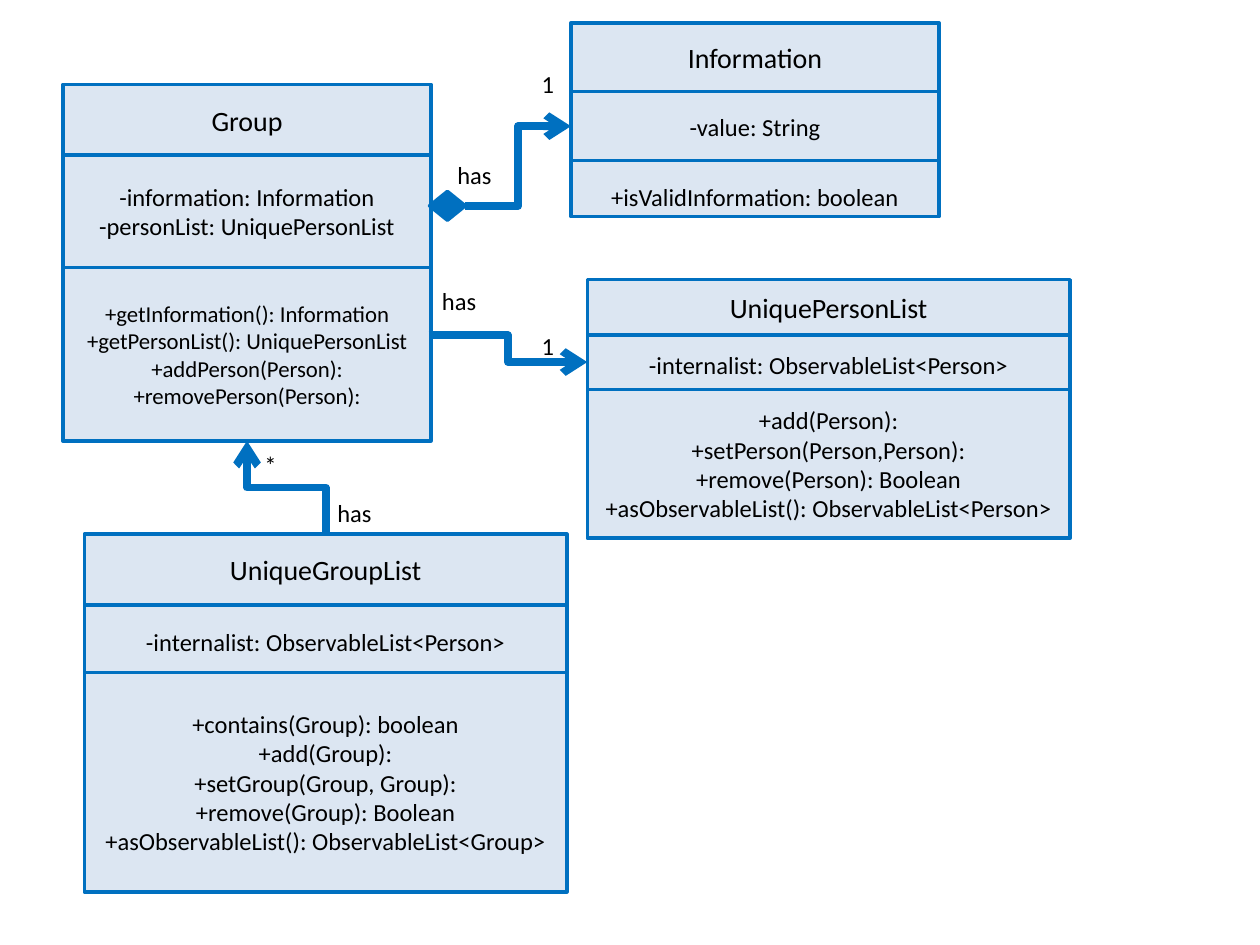
"""Build a class diagram of groups, persons and their lists."""
from lxml.etree import SubElement
from pptx import Presentation
from pptx.dml.color import RGBColor
from pptx.enum.shapes import MSO_CONNECTOR, MSO_SHAPE
from pptx.enum.text import MSO_ANCHOR, PP_ALIGN
from pptx.oxml.ns import qn
from pptx.util import Cm, Pt

BLUE, PALE, BLACK = "0070C0", "DCE6F2", "000000"
FONT = "Calibri"
INSET = 0.13

# Name: left, top, width, rows of (height, text size, lines, extra space above)
CLASSES = {
    "Group": (1.27, 1.7, 7.42, [
        (1.43, 16, ["Group"], 0),
        (2.26, 14, ["-information: Information", "-personList: UniquePersonList"], 0),
        (3.5, 13, ["+getInformation(): Information", "+getPersonList(): UniquePersonList",
                   "+addPerson(Person):", "+removePerson(Person):"], 0),
    ]),
    "Information": (11.51, 0.46, 7.42, [
        (1.39, 16, ["Information"], 0),
        (1.39, 14, ["-value: String"], 0),
        (1.13, 14, ["+isValidInformation: boolean"], 0.3),
    ]),
    "UniquePersonList": (11.84, 5.64, 9.73, [
        (1.11, 16, ["UniquePersonList"], 0),
        (1.1, 14, ["-internalist: ObservableList<Person>"], 0.1),
        (3, 14, ["+add(Person):", "+setPerson(Person,Person):", "+remove(Person): Boolean",
                 "+asObservableList(): ObservableList<Person>"], 0),
    ]),
    "UniqueGroupList": (1.7, 10.77, 9.73, [
        (1.43, 16, ["UniqueGroupList"], 0),
        (1.36, 14, ["-internalist: ObservableList<Person>"], 0.1),
        (4.42, 14, ["+contains(Group): boolean", "+add(Group):", "+setGroup(Group, Group):",
                    "+remove(Group): Boolean",
                    "+asObservableList(): ObservableList<Group>"], 0),
    ]),
}
LABELS = [
    ("has", 8.97, 3.1), ("1", 10.67, 1.27), ("has", 8.66, 5.64),
    ("1", 10.67, 6.55), ("has", 6.55, 9.91), ("*", 5.08, 8.94),
]
DIAMOND = (8.66, 3.86, 0.72, 0.58)
PERSON_LINK_START = (8.64, 6.76)
TOP, LEFT, BOTTOM, RIGHT = range(4)


def color(value):
    return RGBColor.from_string(value)


def write(shape, lines, size, align):
    frame = shape.text_frame
    for index, line in enumerate(lines):
        para = frame.add_paragraph() if index else frame.paragraphs[0]
        para.text = line
        para.alignment = align
        para.font.name = FONT
        para.font.size = Pt(size)
        para.font.color.rgb = color(BLACK)


def add_block(page, kind, place, fill):
    block = page.shapes.add_shape(kind, *map(Cm, place))
    block.shadow.inherit = False
    block.fill.solid()
    block.fill.fore_color.rgb = color(fill)
    block.line.color.rgb = color(BLUE)
    block.line.width = Pt(2)
    return block


def add_class(page, left, top, width, rows):
    boxes = []
    for height, size, lines, space_above in rows:
        box = add_block(page, MSO_SHAPE.RECTANGLE, (left, top, width, height), PALE)
        frame = box.text_frame
        frame.word_wrap = True
        frame.vertical_anchor = MSO_ANCHOR.MIDDLE
        frame.margin_top = Cm(INSET + space_above)
        write(box, lines, size, PP_ALIGN.CENTER)
        boxes.append(box)
        top += height
    return boxes


def add_link(page, end, begin=None, start=(0, 0)):
    link = page.shapes.add_connector(MSO_CONNECTOR.ELBOW, *map(Cm, start), 0, 0)
    if begin:
        link.begin_connect(*begin)
    link.end_connect(*end)
    link.line.color.rgb = color(BLUE)
    link.line.width = Pt(4.5)
    properties = link._element.spPr
    SubElement(properties.find(qn("a:ln")), qn("a:tailEnd"), type="arrow")
    SubElement(properties, qn("a:effectLst"))
    return link


def turn_upward(link):
    middle_x = link.left + link.width // 2
    middle_y = link.top + link.height // 2
    link.width, link.height = link.height, link.width
    link.left = middle_x - link.width // 2
    link.top = middle_y - link.height // 2
    transform = link._element.spPr.find(qn("a:xfrm"))
    transform.set("rot", "16200000")
    transform.set("flipH", "0")
    transform.set("flipV", "1")


def main():
    deck = Presentation()
    deck.slide_width, deck.slide_height = Cm(25.4), Cm(19.05)
    page = deck.slides.add_slide(deck.slide_layouts[6])
    boxes = {name: add_class(page, *data) for name, data in CLASSES.items()}
    diamond = add_block(page, MSO_SHAPE.FLOWCHART_DECISION, DIAMOND, BLUE)

    add_link(page, (boxes["Information"][1], LEFT), (diamond, RIGHT))
    add_link(page, (boxes["UniquePersonList"][1], LEFT), start=PERSON_LINK_START)
    turn_upward(add_link(page, (boxes["Group"][2], BOTTOM),
                         (boxes["UniqueGroupList"][0], TOP)))

    for text, left, top in LABELS:
        label = page.shapes.add_textbox(Cm(left), Cm(top), Cm(1.22), Cm(0.86))
        label.text_frame.word_wrap = True
        write(label, [text], 14, PP_ALIGN.LEFT)
    deck.save("out.pptx")


if __name__ == "__main__":
    main()
